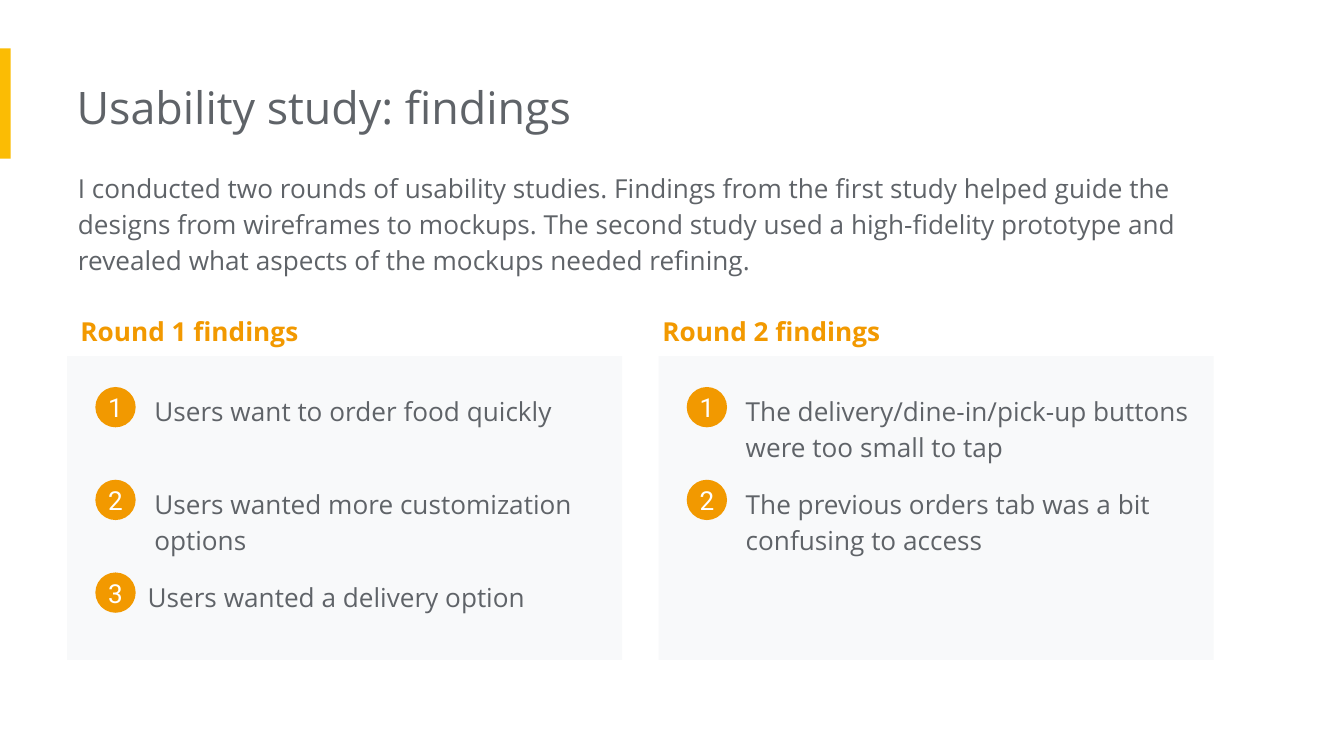
from dataclasses import dataclass

from pptx import Presentation
from pptx.dml.color import RGBColor
from pptx.enum.shapes import MSO_SHAPE
from pptx.enum.text import MSO_ANCHOR, MSO_AUTO_SIZE, PP_ALIGN
from pptx.util import Inches, Pt

RECTANGLE = MSO_SHAPE.RECTANGLE
OVAL = MSO_SHAPE.OVAL
TOP = MSO_ANCHOR.TOP
MIDDLE = MSO_ANCHOR.MIDDLE
LEFT = PP_ALIGN.LEFT
CENTER = PP_ALIGN.CENTER
GROW = MSO_AUTO_SIZE.SHAPE_TO_FIT_TEXT


@dataclass(frozen=True)
class Theme:
    background: str = "FFFFFF"
    accent: str = "FBBC04"
    orange: str = "F29900"
    gray: str = "5F6368"
    panel: str = "F8F9FA"
    white: str = "FFFFFF"
    text_font: str = "Open Sans"
    number_font: str = "Roboto"
    title_size: int = 24
    body_size: int = 14


THEME = Theme()
SLIDE_WIDTH = 10
INSET = 0.1
LINE_SPACING = 1.15
PANEL_TOP, PANEL_WIDTH, PANEL_HEIGHT = 2.65, 4.13, 2.26
FINDING_PITCH = 0.69
BADGE_SIZE = 0.3
TEXT_WIDTH = 3.65

# Panel left, heading left, heading, findings as (text offset, box height, text)
ROUNDS = [
    (0.5, 0.5, "Round 1 findings", [
        (0.55, 0.47, "Users want to order food quickly"),
        (0.55, 0.74, "Users wanted more customization options"),
        (0.5, 0.47, "Users wanted a delivery option"),
    ]),
    (4.9, 4.83, "Round 2 findings", [
        (0.55, 0.74, "The delivery/dine-in/pick-up buttons were too small to tap"),
        (0.55, 0.74, "The previous orders tab was a bit confusing to access"),
    ]),
]


def write_text(shape, text, *, size=THEME.body_size, color=THEME.gray,
               font=THEME.text_font, bold=False, align=LEFT, anchor=TOP,
               spacing=LINE_SPACING, left_inset=INSET, inset=INSET):
    frame = shape.text_frame
    frame.word_wrap = True
    frame.vertical_anchor = anchor
    frame.margin_left = Inches(left_inset)
    frame.margin_top = frame.margin_right = frame.margin_bottom = Inches(inset)
    paragraph = frame.paragraphs[0]
    paragraph.alignment = align
    paragraph.line_spacing = spacing
    run = paragraph.add_run()
    run.text = text
    run.font.size = Pt(size)
    run.font.name = font
    run.font.bold = bold
    run.font.color.rgb = RGBColor.from_string(color)


def add_text(slide, text, left, top, width, height, **text_format):
    box = slide.shapes.add_textbox(
        Inches(left), Inches(top), Inches(width), Inches(height))
    write_text(box, text, **text_format)
    box.text_frame.auto_size = GROW


def add_filled_shape(slide, kind, left, top, width, height, color):
    shape = slide.shapes.add_shape(
        kind, Inches(left), Inches(top), Inches(width), Inches(height))
    shape.shadow.inherit = False
    shape.fill.solid()
    shape.fill.fore_color.rgb = RGBColor.from_string(color)
    shape.line.fill.background()
    return shape


def add_badge(slide, number, left, top):
    badge = add_filled_shape(
        slide, OVAL, left, top, BADGE_SIZE, BADGE_SIZE, THEME.orange)
    write_text(badge, str(number), color=THEME.white, font=THEME.number_font,
               align=CENTER, anchor=MIDDLE, spacing=1.0, left_inset=0, inset=0)


def add_round(slide, left, heading_left, heading, findings):
    add_text(slide, heading, heading_left, 2.21, TEXT_WIDTH, 0.44,
             color=THEME.orange, bold=True)
    add_filled_shape(slide, RECTANGLE, left, PANEL_TOP, PANEL_WIDTH,
                     PANEL_HEIGHT, THEME.panel)
    for index, (offset, height, finding) in enumerate(findings):
        row_top = PANEL_TOP + 0.16 + index * FINDING_PITCH
        add_text(slide, finding, left + offset, row_top, TEXT_WIDTH, height)
        add_badge(slide, index + 1, left + 0.21, row_top + 0.07)


def main():
    # Widescreen 16:9 slide
    presentation = Presentation()
    presentation.slide_width = Inches(SLIDE_WIDTH)
    presentation.slide_height = Inches(SLIDE_WIDTH * 9 / 16)
    slide = presentation.slides.add_slide(presentation.slide_layouts[6])
    slide.background.fill.solid()
    slide.background.fill.fore_color.rgb = RGBColor.from_string(THEME.background)

    # Accent bar, title and introduction
    add_filled_shape(slide, RECTANGLE, 0, 0.36, 0.08, 0.82, THEME.accent)
    add_text(slide, "Usability study: findings", 0.57, 0.49, 6.73, 0.61,
             size=THEME.title_size, spacing=1.0, left_inset=0)
    add_text(slide,
             "I conducted two rounds of usability studies. Findings from the "
             "first study helped guide the designs from wireframes to mockups. "
             "The second study used a high-fidelity prototype and revealed "
             "what aspects of the mockups needed refining.",
             0.58, 1.15, 8.61, 1.01, left_inset=0)

    # Findings of each round
    for study_round in ROUNDS:
        add_round(slide, *study_round)

    presentation.save("out.pptx")


if __name__ == "__main__":
    main()
